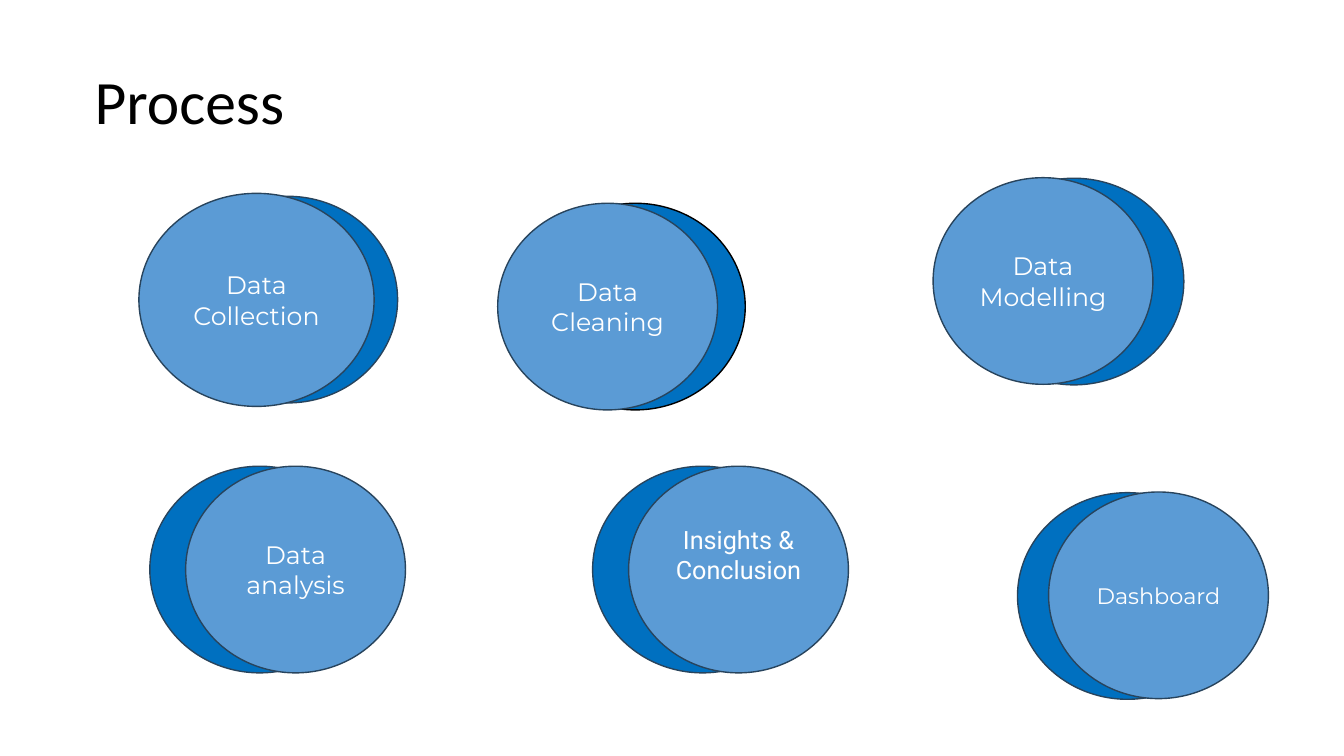
from dataclasses import dataclass

from pptx import Presentation
from pptx.dml.color import RGBColor
from pptx.enum.shapes import MSO_SHAPE
from pptx.enum.text import MSO_ANCHOR, PP_ALIGN
from pptx.shapes.autoshape import Shape
from pptx.slide import Slide
from pptx.util import Pt

OVAL = MSO_SHAPE.OVAL
MIDDLE = MSO_ANCHOR.MIDDLE
LEFT, CENTER = PP_ALIGN.LEFT, PP_ALIGN.CENTER


@dataclass(frozen=True)
class Theme:
    front: str = "5B9BD5"
    back: str = "0070C0"
    outline: str = "28445D"
    black: str = "000000"
    white: str = "FFFFFF"
    title_font: str = "Calibri"
    step_font: str = "Montserrat"
    insight_font: str = "Roboto"
    title_size: float = 44
    step_size: float = 18
    small_size: float = 16


THEME = Theme()


@dataclass(frozen=True)
class Disc:
    left: float
    top: float
    width: float = 157
    height: float = 147.6


@dataclass(frozen=True)
class Step:
    label: str
    front: Disc
    back: Disc
    back_outline: str = THEME.outline
    font: str = THEME.step_font
    size: float = THEME.step_size
    bottom_margin: float = 3.6


STEPS = (
    Step("Data Collection", Disc(99.2, 138.1, 168, 152.2), Disc(127, 140.2)),
    Step("Data Cleaning", Disc(355.5, 145.2), Disc(375.3, 145.2), THEME.black),
    Step("Data Modelling", Disc(666.5, 126.9), Disc(688.6, 127.3)),
    Step("Data analysis", Disc(132.6, 333), Disc(107, 333)),
    Step("Insights & Conclusion", Disc(449, 333), Disc(423.3, 333),
         font=THEME.insight_font, bottom_margin=25),
    Step("Dashboard", Disc(749, 351.4), Disc(726.8, 351.9), size=THEME.small_size),
)


def write(box: Shape, text: str, font: str, size: float, color: str,
          align: PP_ALIGN, bottom_margin: float = 3.6, spacing: float = 1.0) -> None:
    frame = box.text_frame
    para = frame.paragraphs[0]
    span = para.add_run()
    span.text = text
    formats = {
        frame: {"word_wrap": True, "vertical_anchor": MIDDLE,
                "margin_bottom": Pt(bottom_margin)},
        para: {"alignment": align, "line_spacing": spacing},
        span.font: {"name": font, "size": Pt(size)},
    }
    for target, values in formats.items():
        for name, value in values.items():
            setattr(target, name, value)
    span.font.color.rgb = RGBColor.from_string(color)


def draw_disc(page: Slide, disc: Disc, fill: str, outline: str) -> Shape:
    box = page.shapes.add_shape(
        OVAL, Pt(disc.left), Pt(disc.top), Pt(disc.width), Pt(disc.height))
    box.shadow.inherit = False
    box.fill.solid()
    box.fill.fore_color.rgb = RGBColor.from_string(fill)
    box.line.color.rgb = RGBColor.from_string(outline)
    box.line.width = Pt(1)
    return box


def draw_step(page: Slide, step: Step) -> None:
    draw_disc(page, step.back, THEME.back, step.back_outline)
    front = draw_disc(page, step.front, THEME.front, THEME.outline)
    write(front, step.label, step.font, step.size, THEME.white, CENTER,
          step.bottom_margin)


def main() -> None:
    deck = Presentation()
    deck.slide_width, deck.slide_height = Pt(960), Pt(540)
    page = deck.slides.add_slide(deck.slide_layouts[6])

    # Heading
    title = page.shapes.add_textbox(Pt(60.5), Pt(22.3), Pt(828), Pt(104.4))
    write(title, "Process", THEME.title_font, THEME.title_size, THEME.black,
          LEFT, spacing=0.9)

    # Process steps, each a labelled disc over a darker one
    for step in STEPS:
        draw_step(page, step)

    deck.save("out.pptx")


if __name__ == "__main__":
    main()
